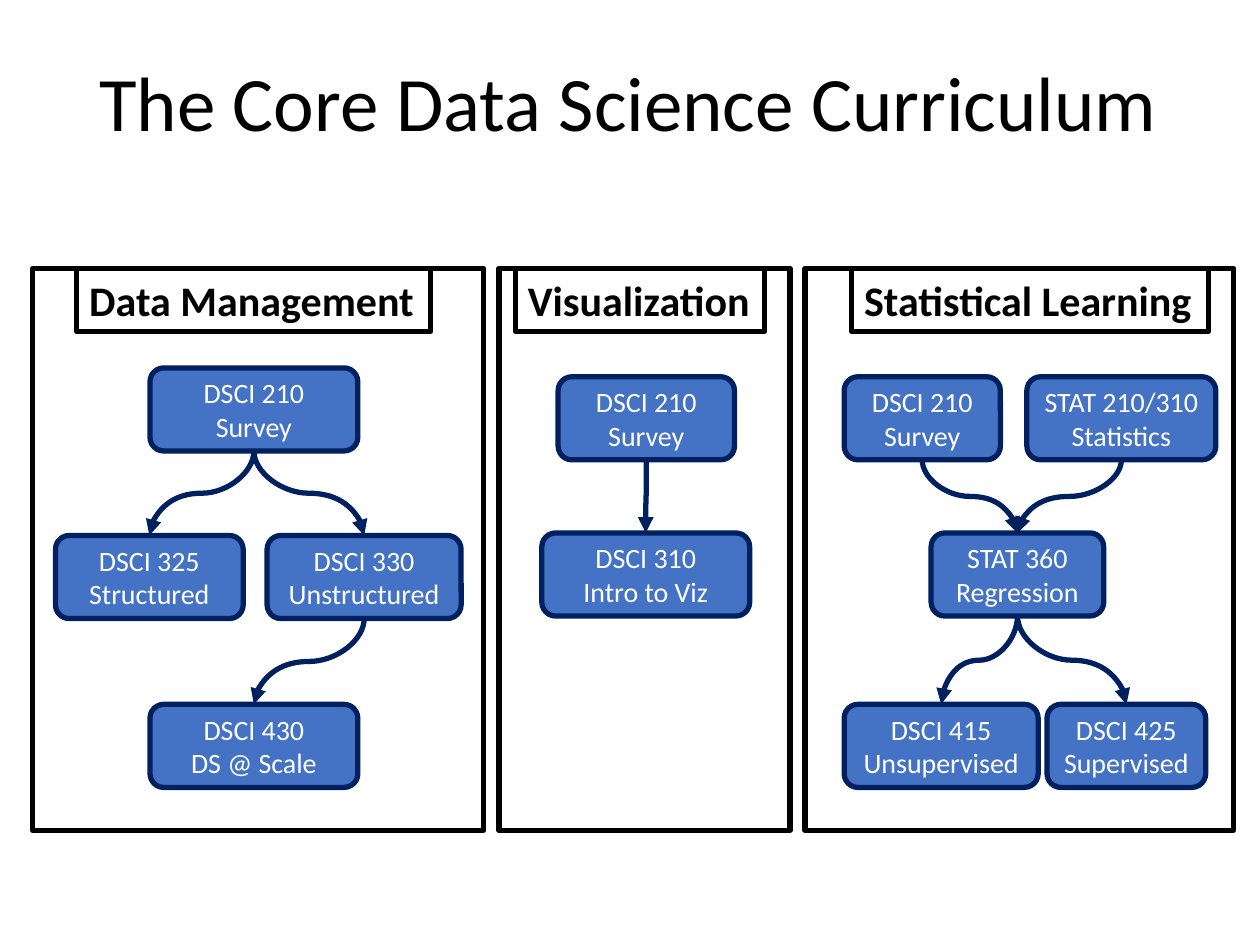
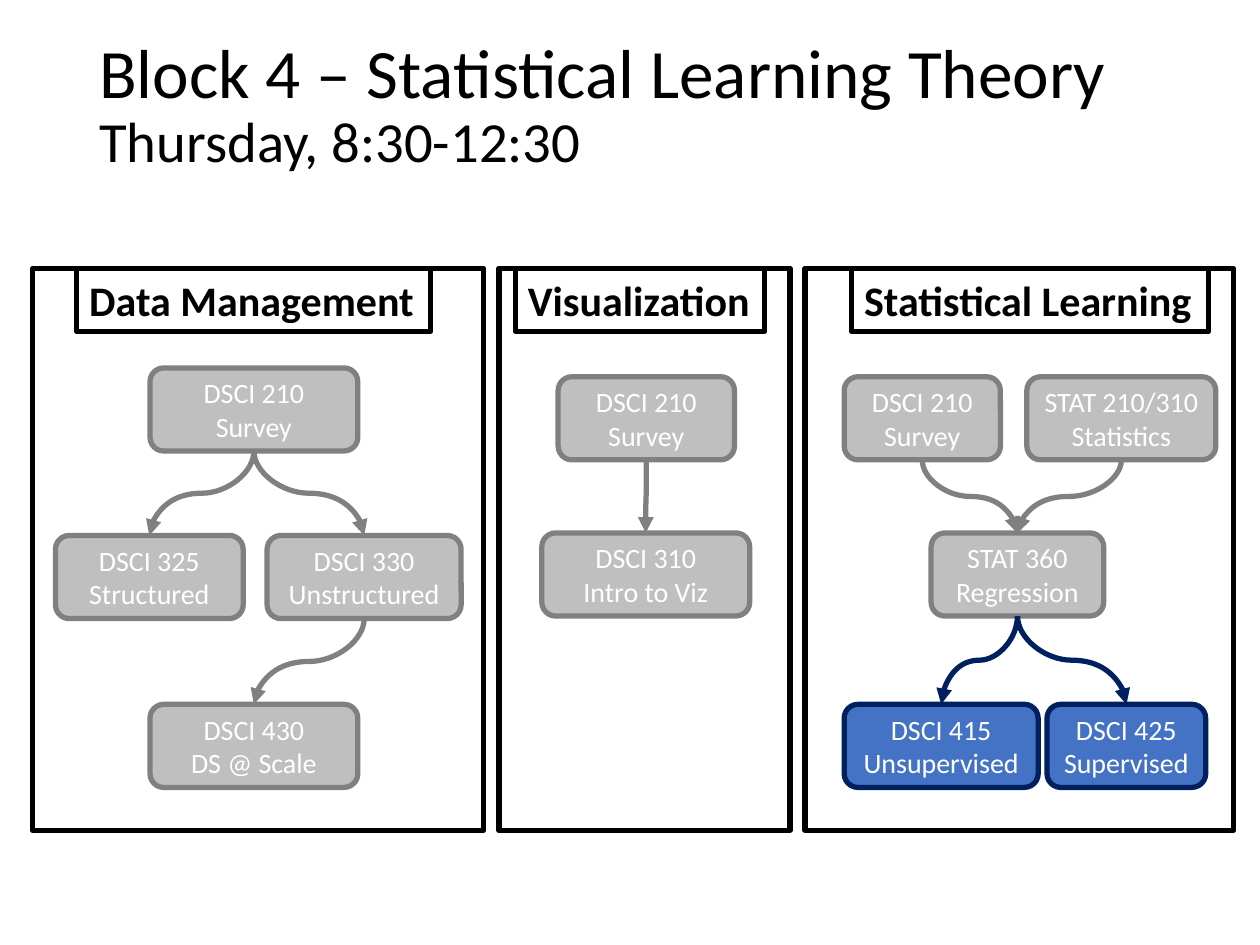
from pptx import Presentation
from pptx.dml.color import RGBColor
from pptx.enum.shapes import MSO_CONNECTOR, MSO_SHAPE
from pptx.enum.text import MSO_ANCHOR, MSO_AUTO_SIZE, PP_ALIGN
from pptx.oxml.ns import qn
from pptx.util import Inches, Pt
from lxml import etree

CURVE = MSO_CONNECTOR.CURVE
RECTANGLE, ROUNDED = MSO_SHAPE.RECTANGLE, MSO_SHAPE.ROUNDED_RECTANGLE
MIDDLE, CENTER = MSO_ANCHOR.MIDDLE, PP_ALIGN.CENTER
GROW = MSO_AUTO_SIZE.SHAPE_TO_FIT_TEXT

FONT = "Calibri"
BLACK, WHITE = "000000", "FFFFFF"
ACTIVE = ("4472C4", "002060")
MUTED = ("BFBFBF", "808080")
LINE_WIDTH = Pt(3)
PANEL_TOP, PANEL_HEIGHT = 2.13, 4.46
HEADING_HEIGHT, COURSE_HEIGHT = 0.5, 0.66

PANELS = [
    {
        "heading": ("Data Management", 0.61, 2.81),
        "frame": (0.26, 3.58),
        "courses": {
            "DSCI 210": ("Survey", 1.19, 2.92, 1.65),
            "DSCI 325": ("Structured", 0.44, 4.25, 1.49),
            "DSCI 330": ("Unstructured", 2.12, 4.25, 1.54),
            "DSCI 430": ("DS @ Scale", 1.19, 5.59, 1.65),
        },
        "links": [("DSCI 210", "DSCI 325"), ("DSCI 210", "DSCI 330"),
                  ("DSCI 330", "DSCI 430")],
    },
    {
        "heading": ("Visualization", 4.09, 1.98),
        "frame": (3.96, 2.31),
        "courses": {
            "DSCI 210": ("Survey", 4.43, 2.99, 1.4),
            "DSCI 310": ("Intro to Viz", 4.3, 4.23, 1.65),
        },
        "links": [("DSCI 210", "DSCI 310")],
    },
    {
        "heading": ("Statistical Learning", 6.76, 2.83),
        "frame": (6.39, 3.4),
        "courses": {
            "DSCI 210": ("Survey", 6.7, 2.99, 1.24),
            "STAT 210/310": ("Statistics", 8.15, 2.99, 1.5),
            "STAT 360": ("Regression", 7.39, 4.23, 1.37),
            "DSCI 415": ("Unsupervised", 6.7, 5.59, 1.54),
            "DSCI 425": ("Supervised", 8.31, 5.59, 1.26),
        },
        "links": [("DSCI 210", "STAT 360"), ("STAT 210/310", "STAT 360"),
                  ("STAT 360", "DSCI 415"), ("STAT 360", "DSCI 425")],
    },
]
ALL_COURSES = {code for panel in PANELS for code in panel["courses"]}


def color(value):
    return RGBColor.from_string(value)


class CurriculumDeck:
    """Draws the curriculum map and holds its style and current slide."""

    def __init__(self):
        self.deck = Presentation()
        self.deck.slide_width, self.deck.slide_height = Inches(10), Inches(7.5)

    def add_slide(self, title_lines):
        self.slide = self.deck.slides.add_slide(self.deck.slide_layouts[6])
        self.add_title(title_lines)

    def add_span(self, para, text, size, ink, bold=False):
        span = para.add_run()
        span.text = text
        span.font.name, span.font.size, span.font.bold = FONT, Pt(size), bold
        span.font.color.rgb = color(ink)

    def outline(self, shape, ink):
        shape.line.color.rgb = color(ink)
        shape.line.width = LINE_WIDTH

    def add_title(self, lines):
        box = self.slide.shapes.add_textbox(
            Inches(0.69), Inches(0.4), Inches(8.62), Inches(0.89))
        frame = box.text_frame
        frame.word_wrap, frame.vertical_anchor = True, MIDDLE
        para = frame.paragraphs[0]
        para.line_spacing = 0.9
        for index, (text, size) in enumerate(lines):
            if index:
                para.add_line_break()
            self.add_span(para, text, size, BLACK)

    def add_heading(self, text, left, width):
        box = self.group.shapes.add_textbox(
            Inches(left), Inches(PANEL_TOP), Inches(width), Inches(HEADING_HEIGHT))
        self.outline(box, BLACK)
        box.text_frame.word_wrap, box.text_frame.auto_size = False, GROW
        self.add_span(box.text_frame.paragraphs[0], text, 24, BLACK, True)

    def add_course(self, code, name, left, top, width, colors):
        box = self.group.shapes.add_shape(
            ROUNDED, Inches(left), Inches(top), Inches(width), Inches(COURSE_HEIGHT))
        box.shadow.inherit = False
        box.fill.solid()
        box.fill.fore_color.rgb = color(colors[0])
        self.outline(box, colors[1])
        frame = box.text_frame
        frame.word_wrap, frame.vertical_anchor = True, MIDDLE
        frame.margin_left = frame.margin_right = Inches(0.05)
        for para, text in ((frame.paragraphs[0], code), (frame.add_paragraph(), name)):
            para.alignment = CENTER
            self.add_span(para, text, 16, WHITE)

    def add_link(self, source, target, ink):
        """Curve from the bottom of one course to the top of another."""
        _, left, top, width = source
        start_x, start_y = left + width / 2, top + COURSE_HEIGHT
        _, left, end_y, width = target
        end_x = left + width / 2
        length, offset = end_y - start_y, abs(end_x - start_x)
        left = (start_x + end_x - length) / 2
        top = (start_y + end_y - offset) / 2
        link = self.group.shapes.add_connector(
            CURVE, Inches(left), Inches(top), Inches(left + length), Inches(top + offset))
        self.outline(link, ink)
        properties = link._element.spPr
        transform = properties.find(qn("a:xfrm"))
        if end_x > start_x:
            transform.set("rot", str(270 * 60000))
            transform.set("flipH", "1")
        else:
            transform.set("rot", str(90 * 60000))
        etree.SubElement(properties.find(qn("a:ln")), qn("a:tailEnd"), type="triangle")
        etree.SubElement(properties, qn("a:effectLst"))

    def add_frame(self, left, width):
        frame = self.group.shapes.add_shape(
            RECTANGLE, Inches(left), Inches(PANEL_TOP), Inches(width), Inches(PANEL_HEIGHT))
        frame.shadow.inherit = False
        frame.fill.background()
        self.outline(frame, BLACK)

    def add_panel(self, panel, active):
        self.group = self.slide.shapes.add_group_shape()
        courses = panel["courses"]
        self.add_heading(*panel["heading"])
        for code, course in courses.items():
            self.add_course(code, *course, ACTIVE if code in active else MUTED)
        for source, target in panel["links"]:
            ink = (ACTIVE if target in active else MUTED)[1]
            self.add_link(courses[source], courses[target], ink)
        self.add_frame(*panel["frame"])

    def add_map(self, title_lines, active):
        self.add_slide(title_lines)
        for panel in PANELS:
            self.add_panel(panel, active)


curriculum = CurriculumDeck()
curriculum.add_map([("The Core Data Science Curriculum", 44)], ALL_COURSES)
curriculum.add_map(
    [("Block 4 – Statistical Learning Theory", 39.6), ("Thursday, 8:30-12:30", 32.4)],
    {"DSCI 415", "DSCI 425"})
curriculum.deck.save("out.pptx")
